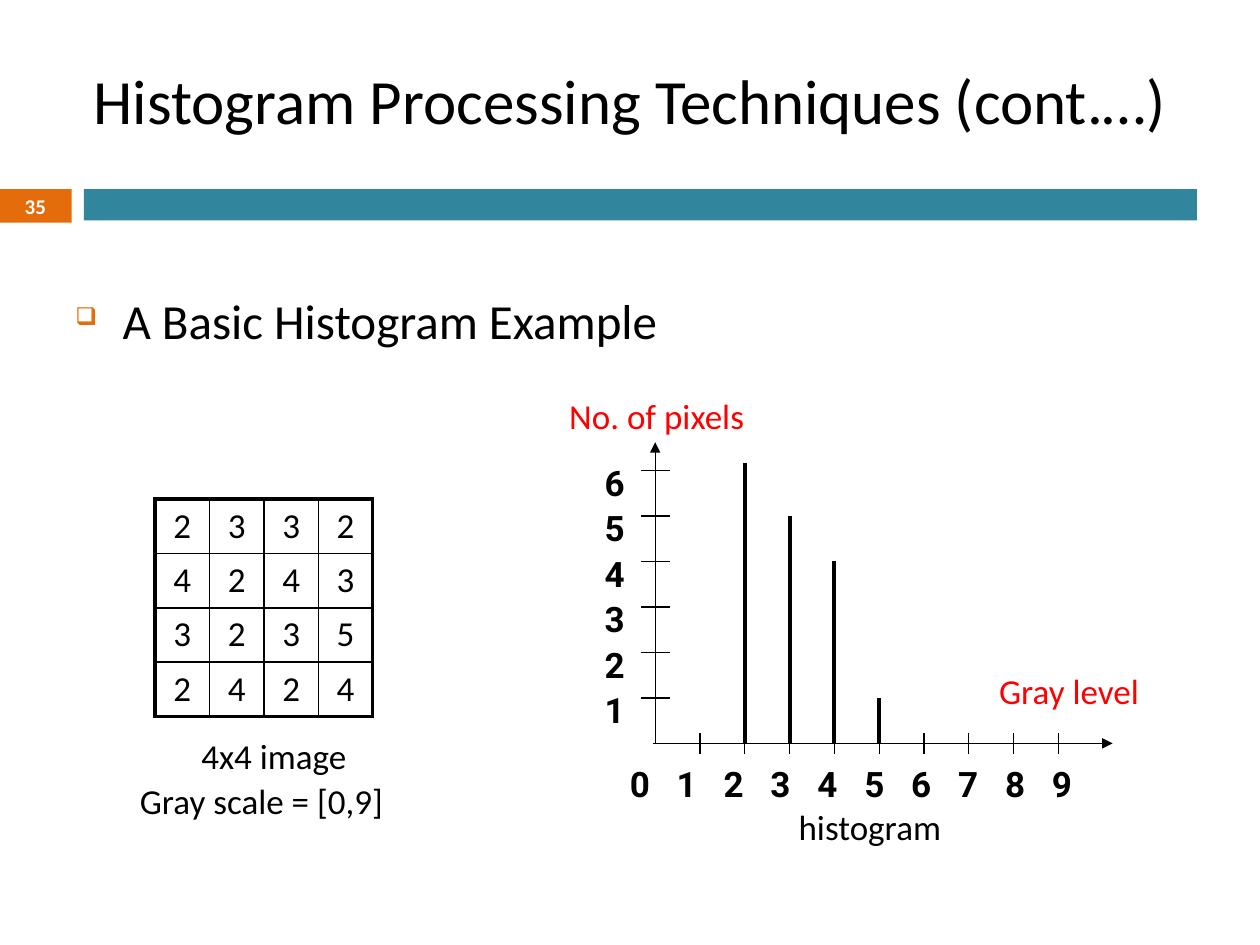
from lxml import etree
from pptx import Presentation
from pptx import util as u
from pptx.dml.color import RGBColor
from pptx.enum import shapes, text
from pptx.oxml.ns import qn

Pt = u.Pt
BLACK, WHITE, RED, ORANGE, TEAL = "000000", "FFFFFF", "FF0000", "E46C0A", "31859C"
BODY_FONT, DIGIT_FONT = "Calibri", "Roboto"
PIXELS = ["2332", "4243", "3235", "2424"]
BAR_HEIGHTS = {2: 160, 3: 130, 4: 104, 5: 26}  # gray level: height in points


def color(value):
    return RGBColor.from_string(value)


def add_xml(parent, tag, **attributes):
    return etree.SubElement(parent, qn(tag), attributes)


def format_paragraph(paragraph, size, hex_color=BLACK, name=BODY_FONT, bold=False):
    for key, value in dict(size=Pt(size), name=name, bold=bold).items():
        setattr(paragraph.font, key, value)
    paragraph.font.color.rgb = color(hex_color)


def add_label(slide, box, wording, size=20, wrap=False, **font):
    """Add a one-line text box and return its paragraph."""
    frame = slide.shapes.add_textbox(*map(Pt, box)).text_frame
    frame.word_wrap = wrap
    paragraph = frame.paragraphs[0]
    paragraph.text = wording
    format_paragraph(paragraph, size, **font)
    return paragraph


def add_line(slide, x1, y1, x2, y2, width=0.75, arrow=False):
    line = slide.shapes.add_connector(
        shapes.MSO_CONNECTOR.STRAIGHT, Pt(x1), Pt(y1), Pt(x2), Pt(y2))
    line.line.color.rgb = color(BLACK)
    line.line.width = Pt(width)
    if arrow:
        add_xml(line.line._get_or_add_ln(), "a:tailEnd", type="triangle")
    add_xml(line._element.spPr, "a:effectLst")


def add_bar(slide, box, hex_color):
    bar = slide.shapes.add_shape(shapes.MSO_SHAPE.RECTANGLE, *map(Pt, box))
    bar.shadow.inherit = False
    bar.fill.solid()
    bar.fill.fore_color.rgb = color(hex_color)
    bar.line.fill.background()
    return bar


def add_header(slide, left, top, width, height):
    title = slide.shapes.title
    for key, value in dict(left=left, top=top, width=width, height=height).items():
        setattr(title, key, Pt(value))
    title.text_frame.text = "Histogram Processing Techniques (cont.…)"
    title.text_frame.vertical_anchor = text.MSO_ANCHOR.MIDDLE
    paragraph = title.text_frame.paragraphs[0]
    paragraph.alignment = text.PP_ALIGN.CENTER
    format_paragraph(paragraph, 36)

    band_top = top + height + 6
    number = add_bar(slide, (left - 36.6, band_top, 41.6, 19.2), ORANGE)
    number.text_frame.text = "35"
    number.text_frame.vertical_anchor = text.MSO_ANCHOR.MIDDLE
    paragraph = number.text_frame.paragraphs[0]
    paragraph.alignment = text.PP_ALIGN.CENTER
    format_paragraph(paragraph, 12, WHITE, bold=True)
    add_bar(slide, (left + 12, band_top, width - 12, 18), TEAL)


def add_bullet(slide, left, top, width, height):
    paragraph = add_label(slide, (left, top, width, height),
                          "A Basic Histogram Example", 28, wrap=True)
    properties = paragraph._p.get_or_add_pPr()
    properties.set("marL", str(Pt(27)))
    properties.set("indent", str(-Pt(27)))
    bullet_color = etree.Element(qn("a:buClr"))
    add_xml(bullet_color, "a:srgbClr", val=ORANGE)
    bullet_size = etree.Element(qn("a:buSzPct"), val="50000")
    bullet = etree.Element(qn("a:buChar"), char="❑")
    for index, element in enumerate((bullet_color, bullet_size, bullet)):
        properties.insert(index, element)


def set_borders(cell, widths):
    """Set the left, right, top and bottom border widths of a cell."""
    properties = cell._tc.get_or_add_tcPr()
    for index, (side, width) in enumerate(zip("LRTB", widths)):
        border = etree.Element(qn(f"a:ln{side}"), w=str(Pt(width)))
        add_xml(add_xml(border, "a:solidFill"), "a:srgbClr", val=BLACK)
        properties.insert(index, border)


def add_pixel_table(slide, left, top, side):
    count = len(PIXELS)
    table = slide.shapes.add_table(
        count, count, Pt(left), Pt(top), Pt(side), Pt(side)).table
    table.first_row = table.horz_banding = False
    last = count - 1
    for i, values in enumerate(PIXELS):
        table.rows[i].height = table.columns[i].width = Pt(side / count)
        for j, value in enumerate(values):
            cell = table.cell(i, j)
            cell.text = value
            cell.vertical_anchor = text.MSO_ANCHOR.MIDDLE
            cell.margin_top = cell.margin_bottom = Pt(3)
            cell.fill.background()
            edges = (j == 0, j == last, i == 0, i == last)
            set_borders(cell, [2.25 if edge else 1 for edge in edges])
            paragraph = cell.text_frame.paragraphs[0]
            paragraph.alignment = text.PP_ALIGN.CENTER
            format_paragraph(paragraph, 20)
    add_label(slide, (left + 19.4, top + 131, 103, 31.5), "4x4 image")
    add_label(slide, (left - 15.8, top + 156.5, 154.8, 31.5), "Gray scale = [0,9]")


def add_histogram(slide, left, top, width, height):
    """Draw the axes in the box, with ticks, bars and labels around them."""
    step_x, step_y = 25.6, 26
    bottom = top + height
    add_line(slide, left - 1.4, bottom, left + width, bottom, arrow=True)
    add_line(slide, left, bottom, left, top, arrow=True)

    digits = dict(name=DIGIT_FONT, bold=True)
    for level in range(10):
        x = left + level * step_x
        if level:
            add_line(slide, x, bottom - 6, x, bottom + 6)
        add_label(slide, (left - 21.6 + level * 26.8, bottom + 7.2, 25.2, 20.2),
                  str(level), **digits)
        if level in BAR_HEIGHTS:
            add_line(slide, x, bottom, x, bottom - BAR_HEIGHTS[level], 2.25)
    for count in range(1, 7):
        y = bottom - count * step_y
        add_line(slide, left - 8, y, left + 8.6, y)
        add_label(slide, (left - 36, y - 8.7, 25.2, 20.2), str(count), **digits)

    add_label(slide, (left - 56.2, top - 31, 115.2, 31.5), "No. of pixels", hex_color=RED)
    add_label(slide, (left + 189.4, bottom - 46, 95, 31.5), "Gray level", hex_color=RED)
    add_label(slide, (left + 74.9, bottom + 31.7, 96.5, 31.5), "histogram")


def main():
    presentation = Presentation()
    presentation.slide_width, presentation.slide_height = Pt(720), Pt(540)
    slide = presentation.slides.add_slide(presentation.slide_layouts[5])
    add_header(slide, 36, 12, 648, 90)
    add_bullet(slide, 36, 162.4, 648, 42)
    add_pixel_table(slide, 88.6, 285.1, 124.4)
    add_histogram(slide, 374.4, 252.7, 261.4, 172.1)
    presentation.save("out.pptx")


if __name__ == "__main__":
    main()
